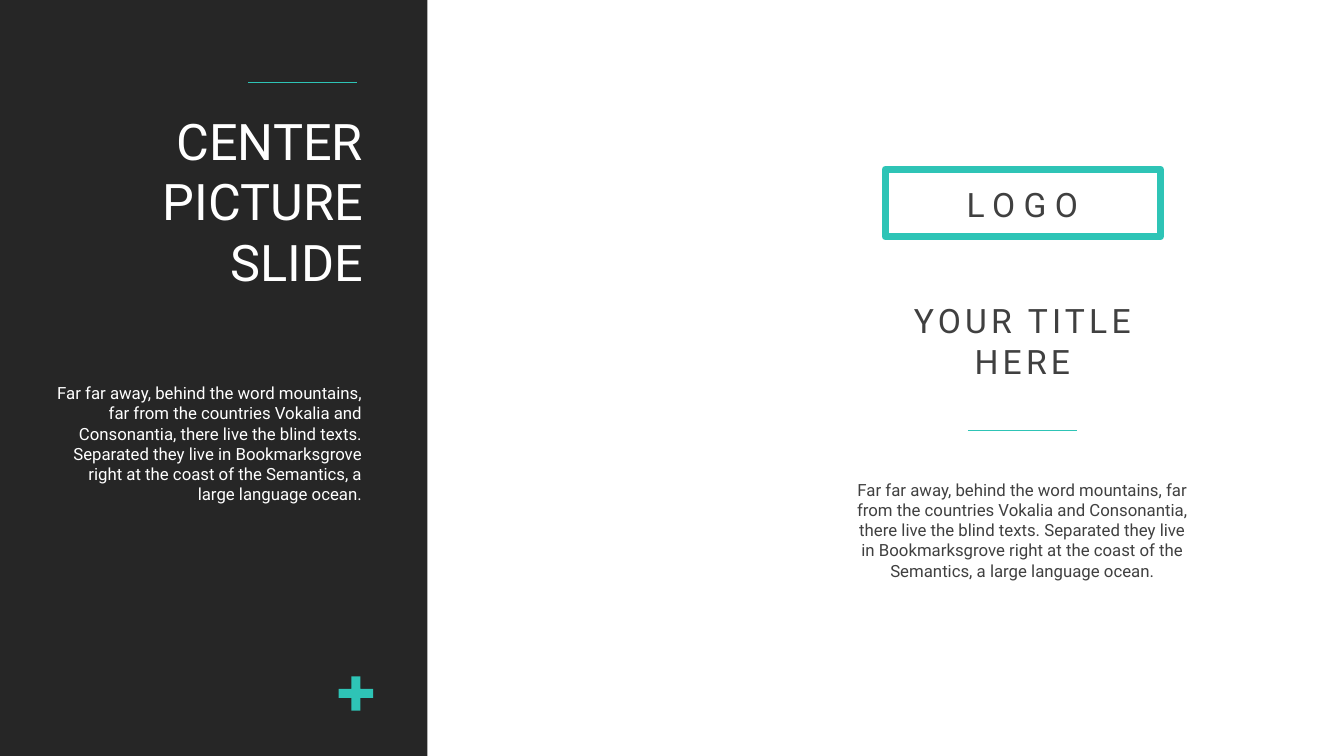
"""Build a slide with a dark title panel and a centred text column."""
from lxml import etree
from pptx import Presentation
from pptx.dml.color import RGBColor
from pptx.enum.shapes import MSO_CONNECTOR, MSO_SHAPE
from pptx.enum.text import MSO_ANCHOR, MSO_AUTO_SIZE, PP_ALIGN
from pptx.oxml.ns import qn
from pptx.util import Inches, Pt

TEAL = RGBColor(0x2E, 0xC4, 0xB6)
DARK = RGBColor(0x26, 0x26, 0x26)
GREY = RGBColor(0x40, 0x40, 0x40)
WHITE = RGBColor(0xFF, 0xFF, 0xFF)
FONT = "Roboto"
RIGHT, CENTER = PP_ALIGN.RIGHT, PP_ALIGN.CENTER

STORY = (
    "Far far away, behind the word mountains, far from the countries "
    "Vokalia and Consonantia, there live the blind texts. Separated they "
    "live in Bookmarksgrove right at the coast of the Semantics, a large "
    "language ocean."
)
TITLE = ["CENTER", "PICTURE", "SLIDE"]
TITLE_AREA = (1.28, 1.04, 2.42, 1.92)
TEXTS = [
    ([STORY], (0.42, 3.75, 3.27, 1.31), RIGHT, 12, WHITE, 0, True),
    (["YOUR TITLE", "HERE"], (8.84, 2.93, 2.6, 0.91), CENTER, 24, GREY, 3, False),
    ([STORY], (8.37, 4.71, 3.54, 1.11), CENTER, 12, GREY, 0, True),
    (["LOGO"], (9.47, 1.78, 1.34, 0.5), CENTER, 24, GREY, 6, False),
]
RULE_WIDTH = 1.08
RULES = [(2.46, 0.82), (9.6, 4.27)]


def inches(values):
    return [Inches(value) for value in values]


def write(box, lines, align, size, color, spacing=0, wrap=True):
    frame = box.text_frame
    frame.word_wrap = wrap
    frame.auto_size = MSO_AUTO_SIZE.NONE
    frame.vertical_anchor = MSO_ANCHOR.TOP
    for index, line in enumerate(lines):
        para = frame.add_paragraph() if index else frame.paragraphs[0]
        para.alignment = align
        span = para.add_run()
        span.text = line
        span.font.name = FONT
        span.font.size = Pt(size)
        span.font.color.rgb = color
        if spacing:
            span.font._element.set("spc", str(spacing * 100))


def add_block(page, kind, area, fill=None, line=None):
    block = page.shapes.add_shape(kind, *inches(area))
    block.shadow.inherit = False
    if fill is None:
        block.fill.background()
    else:
        block.fill.solid()
        block.fill.fore_color.rgb = fill
    if line is None:
        block.line.fill.background()
    else:
        block.line.color.rgb = line
        block.line.width = Pt(5)
    return block


def add_rule(page, left, top):
    ends = inches((left, top, left + RULE_WIDTH, top))
    rule = page.shapes.add_connector(MSO_CONNECTOR.STRAIGHT, *ends)
    rule.line.color.rgb = TEAL
    rule.line.width = Pt(0.5)
    etree.SubElement(rule.element.spPr, qn("a:effectLst"))


deck = Presentation()
deck.slide_width, deck.slide_height = inches((13.33, 7.5))
page = deck.slides.add_slide(deck.slide_layouts[5])

title = page.shapes.title
title.left, title.top, title.width, title.height = inches(TITLE_AREA)
write(title, TITLE, RIGHT, 36, WHITE)

panel = add_block(page, MSO_SHAPE.RECTANGLE, (0, 0, 4.24, 7.5), fill=DARK)
title.element.addprevious(panel.element)

plus = add_block(page, MSO_SHAPE.CROSS, (3.36, 6.71, 0.34, 0.34), fill=TEAL)
plus.adjustments[0] = 0.37
add_block(page, MSO_SHAPE.RECTANGLE, (8.78, 1.68, 2.73, 0.67), line=TEAL)

for left, top in RULES:
    add_rule(page, left, top)

for lines, area, *style in TEXTS:
    write(page.shapes.add_textbox(*inches(area)), lines, *style)

deck.save("out.pptx")
